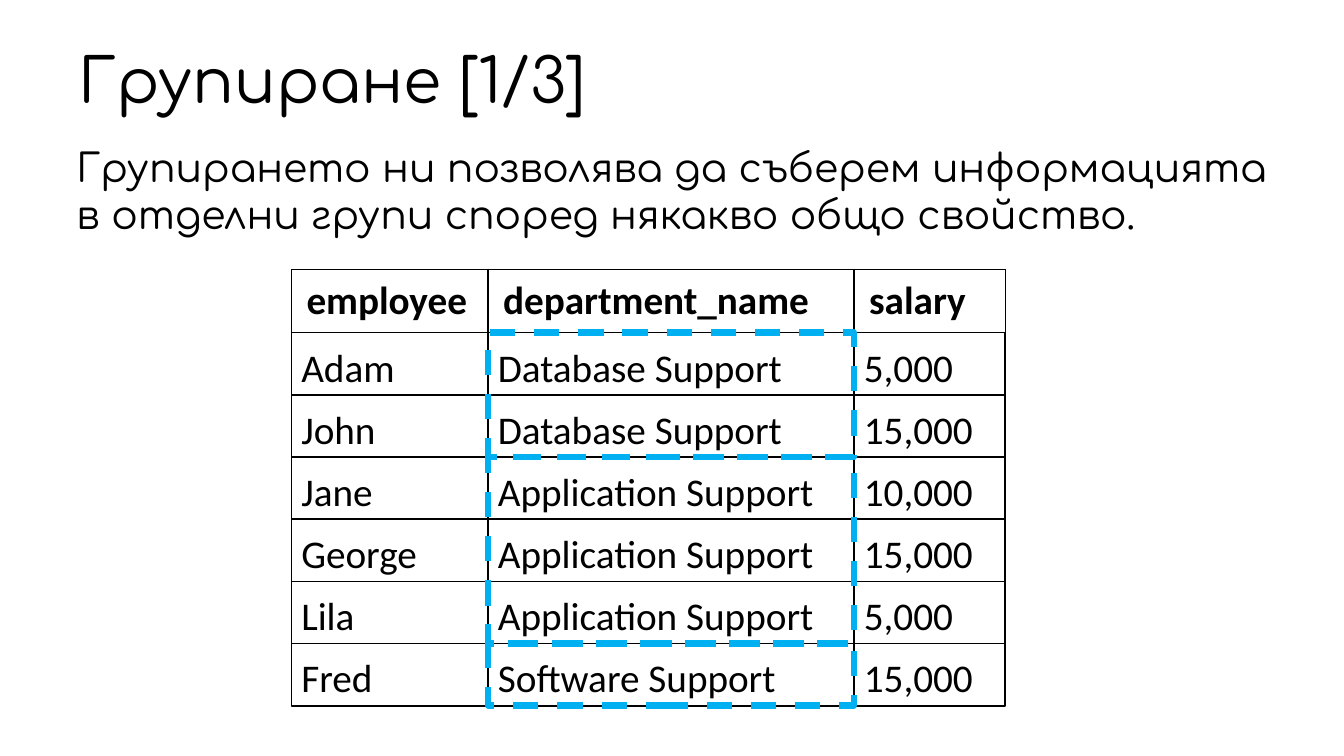
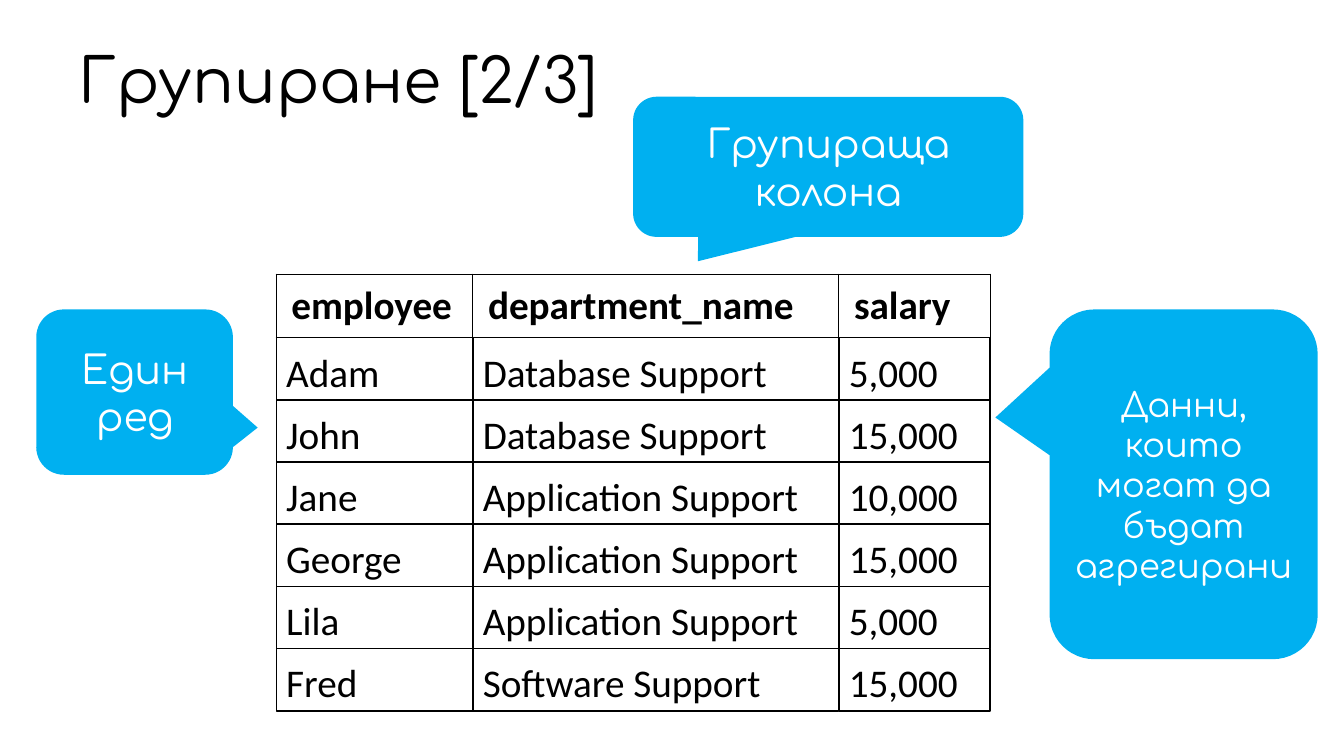
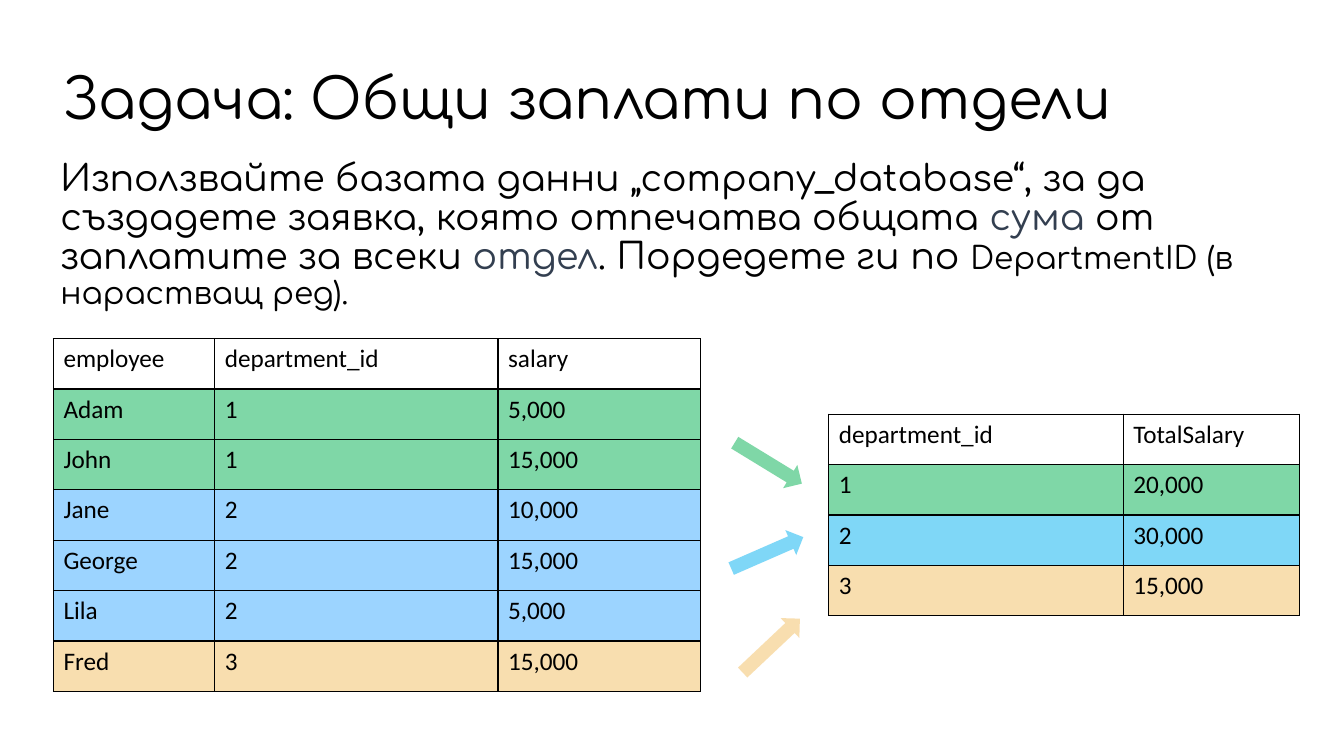
from lxml import etree
from pptx import Presentation
from pptx import util as u
from pptx.dml.color import RGBColor
from pptx.enum import dml, shapes, text
from pptx.oxml import ns

BLACK, WHITE, SLATE = "000000", "FFFFFF", "333F50"
CYAN, GREEN, BLUE, SAND = "00B0F0", "00B050", "3BABFF", "F3BE60"
DISPLAY_FONT, TABLE_FONT = "Comfortaa", "Calibri"
EMPLOYEE_COLUMNS = [1.95, 3.63, 1.5]
HEADER_STEP, ROW_STEP, ROW_HEIGHT = 0.63, 3.7 / 6, 0.62
EMPLOYEE_HEADER = ("employee", "department_name", "salary")
EMPLOYEES = [
    ("Adam", "Database Support", "5,000"),
    ("John", "Database Support", "15,000"),
    ("Jane", "Application Support", "10,000"),
    ("George", "Application Support", "15,000"),
    ("Lila", "Application Support", "5,000"),
    ("Fred", "Software Support", "15,000"),
]
DEPARTMENT_SIZES = [2, 3, 1]


def color(value):
    return RGBColor.from_string(value)


def inches(box):
    return [u.Inches(length) for length in box]


def paint(fill, value):
    fill.solid()
    fill.fore_color.rgb = color(value)


def make_translucent(properties, percent=50):
    tint = properties.find(ns.qn("a:solidFill")).find(ns.qn("a:srgbClr"))
    etree.SubElement(tint, ns.qn("a:alpha"), val=str(percent * 1000))


def set_font(font, size, name=DISPLAY_FONT, value=BLACK, bold=False):
    font.size = u.Pt(size)
    font.name = name
    font.bold = bold
    font.color.rgb = color(value)


def add_text(slide, box, size, content="", spacing=1.0, anchor=text.MSO_ANCHOR.TOP):
    frame = slide.shapes.add_textbox(*inches(box)).text_frame
    frame.word_wrap = True
    frame.vertical_anchor = anchor
    paragraph = frame.paragraphs[0]
    paragraph.text = content
    paragraph.line_spacing = spacing
    set_font(paragraph.font, size)
    return paragraph


def add_title(slide, content, box=(0.68, 0.1, 11.5, 1.45), size=44):
    add_text(slide, box, size, content, 0.9, text.MSO_ANCHOR.MIDDLE)


def add_shape(parent, kind, box, fill=None):
    shape = parent.shapes.add_shape(kind, *inches(box))
    shape.shadow.inherit = False
    shape.line.fill.background()
    if fill:
        paint(shape.fill, fill)
    else:
        shape.fill.background()
    return shape


def add_outline(parent, box, value=BLACK, width=1, dash=None):
    shape = add_shape(parent, shapes.MSO_SHAPE.RECTANGLE, box)
    paint(shape.line.fill, value)
    shape.line.width = u.Pt(width)
    shape.line.dash_style = dash
    return shape


def write_centered(shape, content, size, name, value, alignment):
    frame = shape.text_frame
    frame.word_wrap = True
    frame.vertical_anchor = text.MSO_ANCHOR.MIDDLE
    paragraph = frame.paragraphs[0]
    paragraph.text = content
    paragraph.alignment = alignment
    set_font(paragraph.font, size, name, value)
    return frame


def add_callout(slide, box, content, pointer, size=28):
    shape = add_shape(slide, shapes.MSO_SHAPE.ROUNDED_RECTANGULAR_CALLOUT, box, CYAN)
    for index, value in enumerate((*pointer, 0.167)):
        shape.adjustments[index] = value
    write_centered(shape, content, size, DISPLAY_FONT, WHITE, text.PP_ALIGN.CENTER)


def add_arrow(slide, left, top, rotation, fill):
    shape = add_shape(slide, shapes.MSO_SHAPE.RIGHT_ARROW, (left, top, 0.78, 0.27), fill)
    shape.rotation = rotation
    make_translucent(shape._element.spPr)


def add_borders(cell):
    properties = cell._tc.get_or_add_tcPr()
    for index, side in enumerate(("lnL", "lnR", "lnT", "lnB")):
        border = etree.Element(ns.qn(f"a:{side}"), w=str(u.Pt(1)))
        fill = etree.SubElement(border, ns.qn("a:solidFill"))
        etree.SubElement(fill, ns.qn("a:srgbClr"), val=BLACK)
        properties.insert(index, border)


def add_table(slide, left, top, columns, row_height, rows, size, row_fills=()):
    box = (left, top, sum(columns), row_height * len(rows))
    table = slide.shapes.add_table(len(rows), len(columns), *inches(box)).table
    table.first_row = table.horz_banding = False
    for column, width in zip(table.columns, columns):
        column.width = u.Inches(width)
    for row_index, values in enumerate(rows):
        table.rows[row_index].height = u.Inches(row_height)
        for column_index, value in enumerate(values):
            cell = table.cell(row_index, column_index)
            cell.text = value
            set_font(cell.text_frame.paragraphs[0].font, size, TABLE_FONT)
            if row_index and row_fills:
                paint(cell.fill, row_fills[row_index - 1])
                make_translucent(cell._tc.tcPr)
            else:
                cell.fill.background()
            add_borders(cell)
    return table


def add_department_frames(slide, left, top, **style):
    for count in DEPARTMENT_SIZES:
        height = count * ROW_STEP
        box = (left + EMPLOYEE_COLUMNS[0], top, EMPLOYEE_COLUMNS[1], height)
        add_outline(slide, box, **style)
        top += height


def add_employee_grid(slide, left, top):
    header = add_table(slide, left, top, EMPLOYEE_COLUMNS, ROW_HEIGHT,
                       [EMPLOYEE_HEADER], 28)
    for cell in header.iter_cells():
        cell.margin_left = cell.margin_right = u.Inches(0.15)
        cell.margin_top = cell.margin_bottom = u.Inches(0.08)
        cell.text_frame.paragraphs[0].font.bold = True
    top += HEADER_STEP
    add_department_frames(slide, left, top)
    for width, values in zip(EMPLOYEE_COLUMNS, zip(*EMPLOYEES)):
        group = slide.shapes.add_group_shape()
        for row, value in enumerate(values):
            shape = add_outline(group, (left, top + row * ROW_STEP, width, ROW_HEIGHT))
            frame = write_centered(shape, value, 28, TABLE_FONT, BLACK, text.PP_ALIGN.LEFT)
            frame.margin_top, frame.margin_bottom = u.Inches(0.08), u.Inches(0.03)
        left += width


def build_grouping(slide):
    left, top = 2.89, 2.67
    add_title(slide, "Групиране [1/3]")
    add_text(slide, (0.66, 1.37, 12.22, 1.92), 28,
             "Групирането ни позволява да съберем информацията в отделни групи "
             "според някакво общо свойство.")
    add_employee_grid(slide, left, top)
    add_department_frames(slide, left, top + HEADER_STEP,
                          value=CYAN, width=4.5, dash=dml.MSO_LINE.DASH)


def build_callouts(slide):
    add_callout(slide, (6.28, 0.96, 3.87, 1.39), "Групираща колона", (-0.334, 0.674))
    add_callout(slide, (0.36, 3.07, 1.95, 1.64), "Един ред", (0.626, 0.215))
    add_callout(slide, (10.41, 3.07, 2.66, 3.47),
                "Данни, които могат да бъдат агрегирани", (-0.702, -0.191), 24)
    add_title(slide, "Групиране [2/3]")
    add_employee_grid(slide, 2.74, 2.72)


def build_task(slide):
    paragraph = add_text(slide, (0.5, 1.54, 12.39, 1.66), 25.9, spacing=0.9)
    for content, value, size in (
        ("Използвайте базата данни „company_database“, за да създадете заявка, "
         "която отпечатва общата ", BLACK, 25.9),
        ("сума ", SLATE, 25.9),
        ("от заплатите за всеки ", BLACK, 25.9),
        ("отдел", SLATE, 25.9),
        (". Пордедете ги по ", BLACK, 25.9),
        ("DepartmentID (в нарастващ ред).", BLACK, 22.2),
    ):
        run = paragraph.add_run()
        run.text = content
        set_font(run.font, size, value=value)
    add_title(slide, "Задача: Общи заплати по отдели", (0.53, 0.46, 11.86, 1.1), 40)

    departments = [str(number) for number, count in enumerate(DEPARTMENT_SIZES, 1)
                   for _ in range(count)]
    salaries = [("employee", "department_id", "salary")]
    salaries += [(name, department, salary) for (name, _, salary), department
                 in zip(EMPLOYEES, departments)]
    fills = [fill for fill, count in zip((GREEN, BLUE, SAND), DEPARTMENT_SIZES)
             for _ in range(count)]
    add_table(slide, 0.53, 3.36, [1.6, 2.81, 2.01], 0.5, salaries, 18, fills)

    totals = [("department_id", "TotalSalary"),
              ("1", "20,000"), ("2", "30,000"), ("3", "15,000")]
    add_table(slide, 8.22, 4.11, [2.92, 1.75], 0.5, totals, 18, (GREEN, CYAN, SAND))

    add_arrow(slide, 7.23, 4.46, 31.4, GREEN)
    add_arrow(slide, 7.22, 5.35, 336.4, CYAN)
    add_arrow(slide, 7.26, 6.27, 316.7, SAND)


def main():
    presentation = Presentation()
    presentation.slide_width = u.Inches(13.33)
    presentation.slide_height = u.Inches(7.5)
    for build in (build_grouping, build_callouts, build_task):
        build(presentation.slides.add_slide(presentation.slide_layouts[6]))
    presentation.save("out.pptx")


if __name__ == "__main__":
    main()
